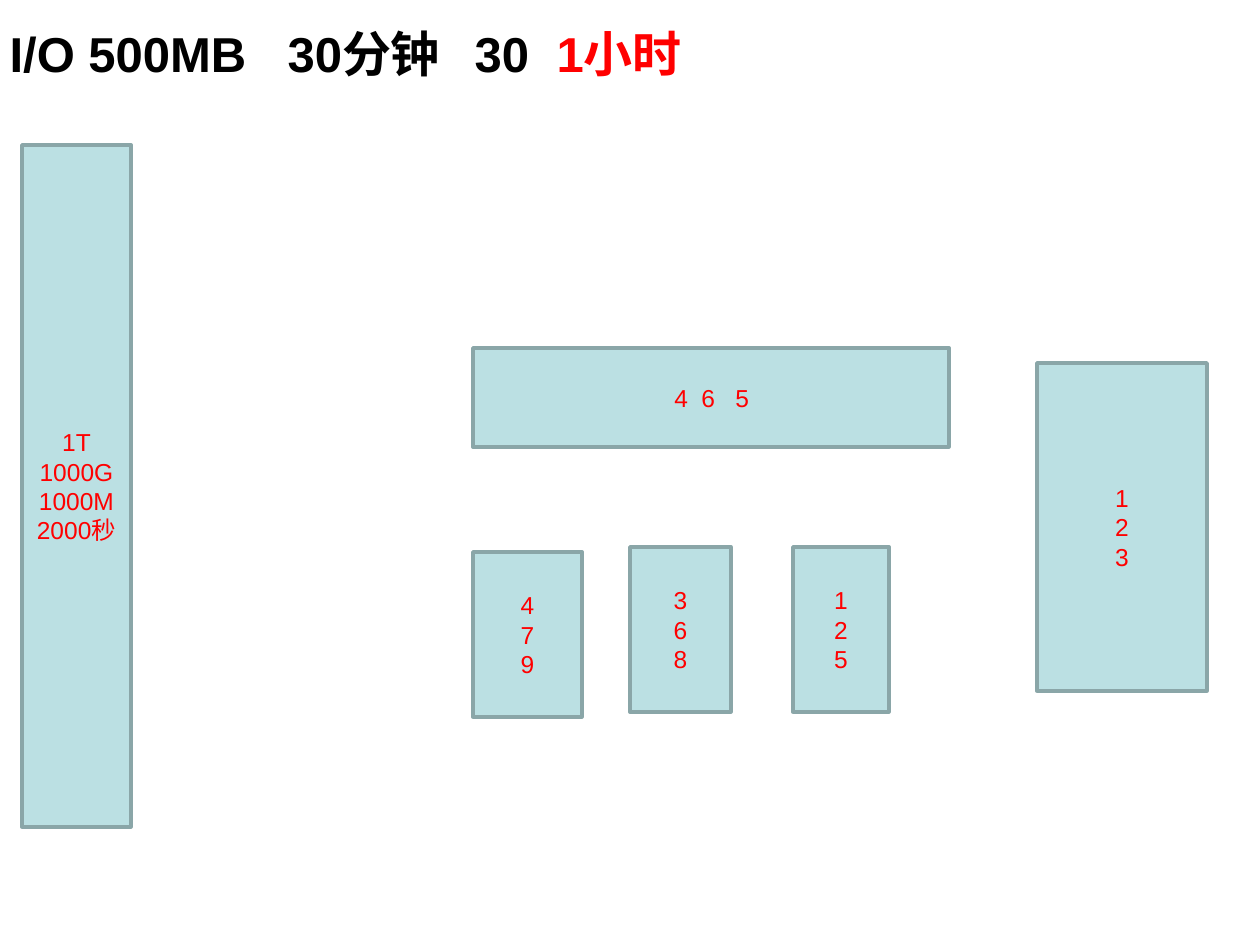
from lxml import etree
from pptx import Presentation
from pptx import util as u
from pptx.dml.color import RGBColor
from pptx.enum import shapes, text
from pptx.oxml.ns import qn

EMU_PER_PX = 914400 / 126
BLACK = RGBColor(0x00, 0x00, 0x00)
RED = RGBColor(0xFF, 0x00, 0x00)
WHITE = RGBColor(0xFF, 0xFF, 0xFF)
PALE_TEAL = RGBColor(0xBB, 0xE0, 0xE3)
GREY_TEAL = RGBColor(0x8A, 0xA6, 0xA8)

# Content: tab stops are px from the left edge of the text
SLIDE_SIZE = (1260, 945)
TITLE_BOX = (-3, -6, 974, 118)
TITLE_RUNS = [("I/O 500MB\t30分钟\t30\t", BLACK), ("1小时", RED)]
TITLE_TABS = [278, 465, 547]

BLOCKS = [  # box (left, top, width, height), lines, tab stops
    ((22, 145, 109, 682), ["1T", "1000G", "1000M", "2000秒"], []),
    ((473, 552, 109, 165), ["4", "7", "9"], []),
    ((630, 547, 101, 165), ["3", "6", "8"], []),
    ((793, 547, 96, 165), ["1", "2", "5"], []),
    ((473, 348, 476, 99), ["\t4\t6\t5"], [189, 216, 250]),
    ((1037, 363, 170, 328), ["1", "2", "3"], []),
]


def px(length):
    return u.Emu(round(length * EMU_PER_PX))


def add_run(paragraph, words, **font_format):
    run = paragraph.add_run()
    run.text = words
    color = font_format.pop("color")
    for name, value in font_format.items():
        setattr(run.font, name, value)
    run.font.color.rgb = color


def set_tabs(paragraph, stops):
    tab_list = etree.SubElement(paragraph._p.get_or_add_pPr(), qn("a:tabLst"))
    for stop in stops:
        etree.SubElement(tab_list, qn("a:tab"), pos=str(px(stop)), algn="l")


def add_block(slide, box, lines, tabs):
    block = slide.shapes.add_shape(
        shapes.MSO_SHAPE.RECTANGLE, *[px(side) for side in box])
    block.shadow.inherit = False
    block.fill.solid()
    block.fill.fore_color.rgb = PALE_TEAL
    block.line.color.rgb = GREY_TEAL
    block.line.width = u.Pt(2)
    frame = block.text_frame
    frame.word_wrap = True
    frame.vertical_anchor = text.MSO_ANCHOR.MIDDLE
    for index, line in enumerate(lines):
        paragraph = frame.add_paragraph() if index else frame.paragraphs[0]
        paragraph.alignment = text.PP_ALIGN.LEFT if tabs else text.PP_ALIGN.CENTER
        if tabs:
            set_tabs(paragraph, tabs)
        add_run(paragraph, line, name="Arial", size=u.Pt(14), color=RED)


def main():
    deck = Presentation()
    deck.slide_width, deck.slide_height = map(px, SLIDE_SIZE)
    slide = deck.slides.add_slide(deck.slide_layouts[5])

    # Title
    title = slide.shapes.title
    title.left, title.top, title.width, title.height = map(px, TITLE_BOX)
    title.fill.solid()
    title.fill.fore_color.rgb = WHITE
    title.text_frame.auto_size = text.MSO_AUTO_SIZE.NONE
    title.text_frame.vertical_anchor = text.MSO_ANCHOR.MIDDLE
    heading = title.text_frame.paragraphs[0]
    heading.alignment = text.PP_ALIGN.LEFT
    set_tabs(heading, TITLE_TABS)
    for words, color in TITLE_RUNS:
        add_run(heading, words, name="Arial", size=u.Pt(28), bold=True, color=color)

    # Data blocks
    for box, lines, tabs in BLOCKS:
        add_block(slide, box, lines, tabs)

    deck.save("out.pptx")


if __name__ == "__main__":
    main()
